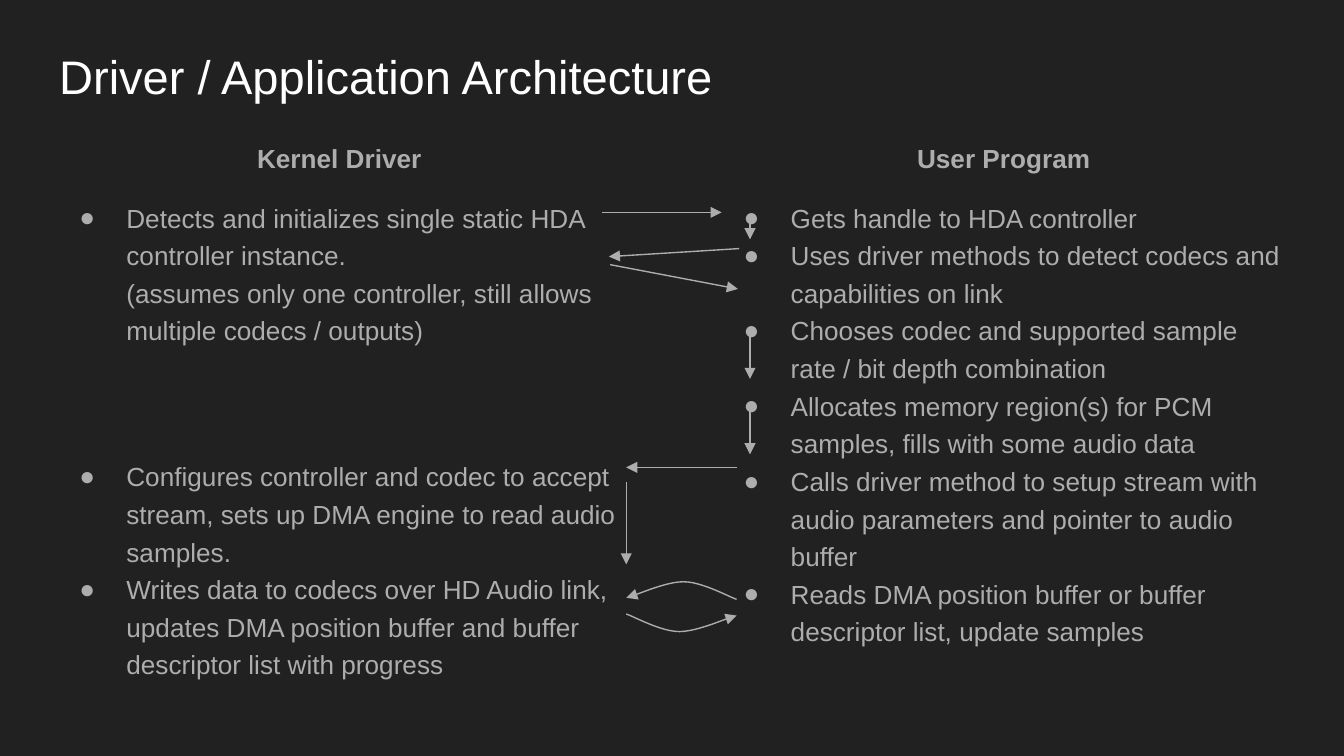
from lxml.etree import SubElement
from pptx import Presentation
from pptx.dml.color import RGBColor
from pptx.enum.shapes import MSO_CONNECTOR
from pptx.enum.text import MSO_ANCHOR, MSO_AUTO_SIZE, PP_ALIGN
from pptx.oxml.ns import qn
from pptx.util import Pt

BACKGROUND, WHITE, GRAY = "212121", "FFFFFF", "ADADAD"
LINE_SPACING = 1.2
BLANK_LINES = 58

KERNEL_STEPS = [
    ("Detects and initializes single static HDA controller instance.\v"
     "(assumes only one controller, still allows multiple codecs / outputs)", 12),
    ("Configures controller and codec to accept stream, sets up DMA engine "
     "to read audio samples.", BLANK_LINES),
    ("Writes data to codecs over HD Audio link, updates DMA position buffer "
     "and buffer descriptor list with progress", 0),
]
USER_STEPS = [
    ("Gets handle to HDA controller", 12),
    ("Uses driver methods to detect codecs and capabilities on link", 0),
    ("Chooses codec and supported sample rate / bit depth combination", 0),
    ("Allocates memory region(s) for PCM samples, fills with some audio data", 0),
    ("Calls driver method to setup stream with audio parameters and pointer "
     "to audio buffer", 0),
    ("Reads DMA position buffer or buffer descriptor list, update samples", 0),
]
ARROWS = [
    (322.6, 113.8, 386.6, 113.8),
    (401.8, 118.1, 401.8, 128.2),
    (396, 133.2, 326.2, 137.5),
    (326.9, 141.8, 395.3, 154.8),
    (401.8, 176.4, 401.8, 203),
    (401.8, 216.7, 401.8, 243.4),
    (394.9, 250.4, 335.5, 250.4),
    (335.5, 258.5, 335.5, 302.4),
]
LOWER_CURVE = [
    [(335.5, 329), (340, 330.5), (354, 338.4), (364, 338.4)],
    [(364, 338.4), (374, 338.4), (389.5, 331), (394.6, 329.8)],
]


def color(value):
    """Turn a hex string into a colour."""
    return RGBColor.from_string(value)


def place(shape, left, top, width, height):
    """Move a placeholder and set its text margins."""
    shape.left, shape.top = Pt(left), Pt(top)
    shape.width, shape.height = Pt(width), Pt(height)
    frame = shape.text_frame
    frame.margin_left = frame.margin_right = Pt(7.2)
    frame.margin_top = frame.margin_bottom = Pt(7.2)
    frame.word_wrap = True
    frame.auto_size = MSO_AUTO_SIZE.NONE
    frame.vertical_anchor = MSO_ANCHOR.TOP


def format_runs(paragraph, size, hex_color, bold=False):
    """Set the font of every run in a paragraph."""
    for run in paragraph.runs:
        run.font.name = "Arial"
        run.font.size = Pt(size)
        run.font.bold = bold
        run.font.color.rgb = color(hex_color)


def set_bullet(paragraph, character):
    """Give a paragraph a hanging bullet, or none without a character."""
    properties = paragraph._p.get_or_add_pPr()
    properties.set("marL", str(Pt(36) if character else 0))
    properties.set("indent", str(Pt(-25.2) if character else 0))
    if not character:
        SubElement(properties, qn("a:buNone"))
        return
    bullet_color = SubElement(properties, qn("a:buClr"))
    SubElement(bullet_color, qn("a:srgbClr"), val=GRAY)
    SubElement(properties, qn("a:buFont"), typeface="Arial")
    SubElement(properties, qn("a:buChar"), char=character)


def fill_title(shape, text):
    """Write the slide title."""
    place(shape, 24.5, 17.3, 671, 45.4)
    shape.text_frame.vertical_anchor = MSO_ANCHOR.BOTTOM
    shape.text_frame.text = text
    paragraph = shape.text_frame.paragraphs[0]
    paragraph.alignment = PP_ALIGN.LEFT
    format_runs(paragraph, 25.2, WHITE)


def fill_column(shape, left, heading, steps):
    """Write a centred heading and its bulleted steps."""
    place(shape, left, 65.5, 314.6, 321.8)
    frame = shape.text_frame
    for index, (text, space_before) in enumerate([(heading, 0)] + steps):
        is_heading = index == 0
        paragraph = frame.paragraphs[0] if is_heading else frame.add_paragraph()
        paragraph.text = text
        set_bullet(paragraph, "" if is_heading else "●")
        paragraph.alignment = PP_ALIGN.CENTER if is_heading else PP_ALIGN.LEFT
        paragraph.line_spacing = LINE_SPACING
        paragraph.space_before = Pt(space_before)
        paragraph.space_after = Pt(0)
        format_runs(paragraph, 14, GRAY, bold=is_heading)


def style_arrow(shape):
    """Draw a thin gray line with a triangle at its end."""
    shape.line.color.rgb = color(GRAY)
    shape.line.width = Pt(0.75)
    SubElement(shape.line._get_or_add_ln(), qn("a:tailEnd"), type="triangle")


def add_arrow(slide, start_x, start_y, end_x, end_y):
    """Add a straight arrow."""
    connector = slide.shapes.add_connector(
        MSO_CONNECTOR.STRAIGHT, Pt(start_x), Pt(start_y), Pt(end_x), Pt(end_y))
    style_arrow(connector)
    SubElement(connector._element.spPr, qn("a:effectLst"))


def curve_point(controls, t):
    """Return the point of a cubic Bezier curve at t."""
    weights = ((1 - t) ** 3, 3 * t * (1 - t) ** 2, 3 * t ** 2 * (1 - t), t ** 3)
    return tuple(sum(weight * point[axis] for weight, point in zip(weights, controls))
                 for axis in (0, 1))


def add_curved_arrow(slide, segments, steps=12):
    """Add an arrow along joined Bezier segments."""
    points = [segments[0][0]] + [curve_point(segment, step / steps)
                                 for segment in segments
                                 for step in range(1, steps + 1)]
    points = [(Pt(x), Pt(y)) for x, y in points]
    builder = slide.shapes.build_freeform(*points[0])
    builder.add_line_segments(points[1:], close=False)
    shape = builder.convert_to_shape()
    shape.shadow.inherit = False
    shape.fill.background()
    style_arrow(shape)


def half_turn(segments, sum_x, sum_y):
    """Rotate segments by 180 degrees."""
    return [[(sum_x - x, sum_y - y) for x, y in segment] for segment in segments]


def main():
    """Build and save the slide."""
    presentation = Presentation()
    presentation.slide_width, presentation.slide_height = Pt(720), Pt(405)
    slide = presentation.slides.add_slide(presentation.slide_layouts[3])
    slide.background.fill.solid()
    slide.background.fill.fore_color.rgb = color(BACKGROUND)
    title, kernel, user = slide.placeholders
    fill_title(title, "Driver / Application Architecture")
    fill_column(kernel, 24.5, "Kernel Driver", KERNEL_STEPS)
    fill_column(user, 380.4, "User Program", USER_STEPS)
    for arrow in ARROWS:
        add_arrow(slide, *arrow)
    add_curved_arrow(slide, LOWER_CURVE)
    add_curved_arrow(slide, half_turn(LOWER_CURVE, 730.1, 650.1))
    presentation.save("out.pptx")


if __name__ == "__main__":
    main()
